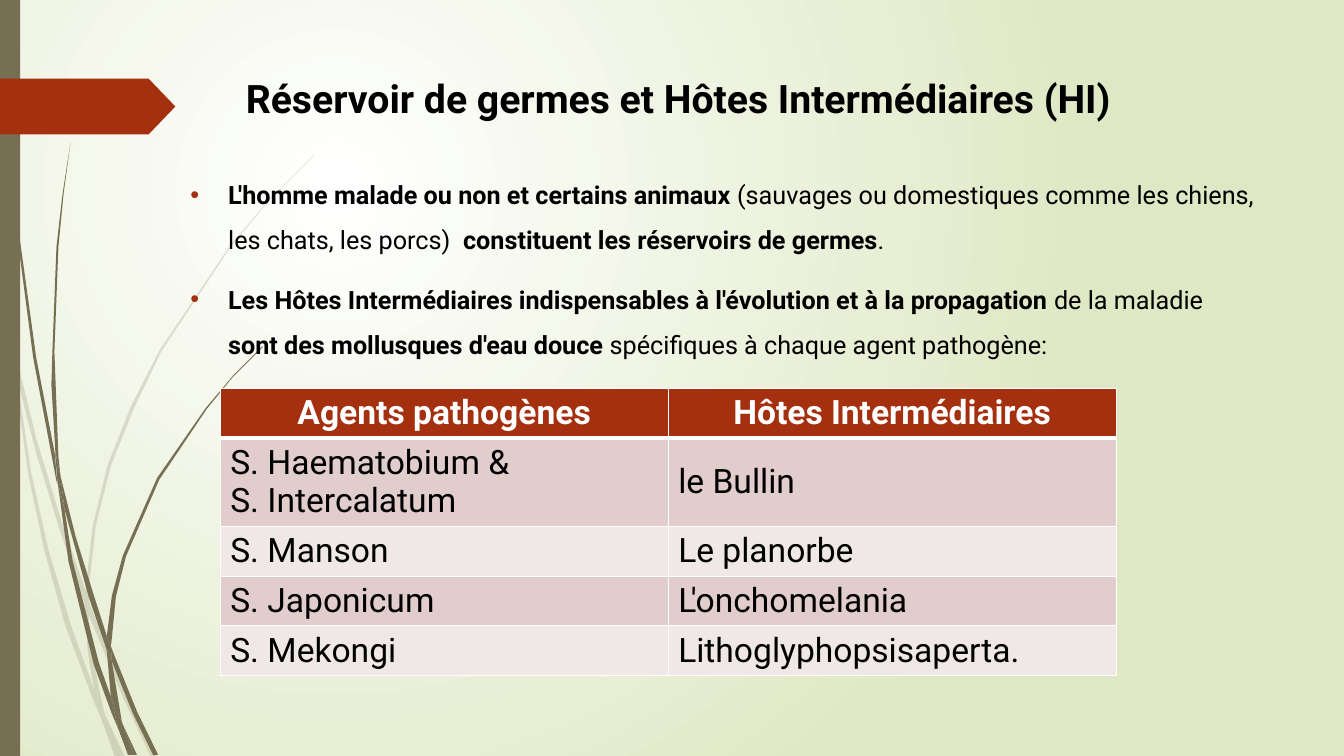
from lxml import etree
from pptx import Presentation
from pptx.dml.color import RGBColor
from pptx.enum.shapes import MSO_SHAPE
from pptx.enum.text import MSO_ANCHOR, PP_ALIGN
from pptx.oxml.ns import qn
from pptx.util import Cm, Pt

RECT, ARROW = MSO_SHAPE.RECTANGLE, MSO_SHAPE.PENTAGON
TOP, MIDDLE = MSO_ANCHOR.TOP, MSO_ANCHOR.MIDDLE
LEFT, CENTER = PP_ALIGN.LEFT, PP_ALIGN.CENTER
FONT = "Roboto"
INCH = 2.54
COLORS = {"white": "FFFFFF", "lime": "DFE8C4", "olive": "766F54", "rust": "A53010",
          "black": "000000", "rose": "E1CDCC", "pale": "F0E8E7"}

# Outlines of the blades of grass, in inches
FAINT = [
    [(.11, 3.5), (.09, 3.22), (0, 2.82), (0, 2.99), (.1, 3.44)],
    [(.58, 5.22), (.84, 5.99), (.85, 5.86), (.62, 5.2), (.36, 4.35), (.14, 3.45), (.17, 3.76),
     (.36, 4.5)],
    [(.92, 6.07), (.88, 5.96), (.88, 6.1), (1.23, 6.94), (1.5, 7.51), (1.55, 7.51), (1.27, 6.92)],
    [(1.19, 7.51), (1.24, 7.51), (1.05, 7.11)],
    [(.93, 6.83), (.7, 6.19), (.48, 5.45), (.31, 4.69), (.17, 3.76), (.11, 3.5), (.28, 4.7),
     (.44, 5.46), (.65, 6.21), (.92, 6.93), (1.01, 7.14), (.99, 7.07)],
    [(.84, 5.99), (.87, 6.46), (.93, 6.83), (.96, 6.92), (1.05, 7.11), (1.03, 7.06),
     (.91, 6.46), (.88, 6.1), (.88, 6.08)],
    [(.88, 5.84), (.95, 5.22), (1.1, 4.62), (1.33, 4.05), (1.6, 3.49), (2.29, 2.45), (2.68, 1.98),
     (3.12, 1.54), (3.12, 1.53), (2.68, 1.97), (2.28, 2.44), (1.58, 3.48), (1.3, 4.03),
     (1.07, 4.61), (.92, 5.22), (.85, 5.84), (.85, 5.86), (.88, 5.96)],
    [(1.01, 7.14), (1.14, 7.51), (1.19, 7.51)],
    [(.88, 6.08), (.88, 6.1), (.88, 5.96), (.85, 5.86), (.84, 5.99)],
    [(.96, 6.92), (.93, 6.83), (.99, 7.07), (1.01, 7.14), (1.19, 7.51), (1.05, 7.11)],
]
DARK = [
    [(.07, 1.1), (.17, 2.33), (.33, 3.55), (.56, 4.77), (.57, 4.81), (.55, 4.57), (.55, 4.53),
     (.36, 3.55), (.19, 2.32), (.08, 1.09), (.05, .48), (.04, 0), (.03, 0), (.04, .48)],
    [(.88, 5.92), (1.06, 6.45), (1.06, 6.31), (.93, 5.9), (.75, 5.32), (.6, 4.72), (.64, 5.05)],
    [(1.13, 6.49), (1.1, 6.41), (1.11, 6.56), (1.32, 7.08), (1.52, 7.49), (1.57, 7.49),
     (1.36, 7.06)],
    [(1.1, 6.91), (.98, 6.57), (.72, 5.56), (.64, 5.05), (.57, 4.77), (.68, 5.57), (.93, 6.59),
     (1.11, 7.08), (1.17, 7.22), (1.16, 7.17)],
    [(.6, 4.72), (.58, 4.53), (.54, 3.49), (.58, 2.45), (.63, 1.93), (.7, 1.41), (.62, 1.93),
     (.56, 2.45), (.52, 3.49), (.51, 3.82), (.55, 4.49)],
    [(1.33, 7.49), (1.36, 7.49), (1.22, 7.19)],
    [(.57, 4.77), (.64, 5.05), (.6, 4.72), (.55, 4.49), (.55, 4.53)],
    [(1.11, 6.33), (1.15, 5.92), (1.25, 5.52), (1.58, 4.76), (2.05, 4.06), (2.31, 3.74),
     (2.61, 3.44), (2.6, 3.44), (2.31, 3.73), (2.04, 4.05), (1.56, 4.74), (1.22, 5.51),
     (1.11, 5.91), (1.06, 6.31), (1.1, 6.41)],
    [(1.17, 7.22), (1.27, 7.49), (1.31, 7.49)],
    [(1.06, 6.45), (1.1, 6.91), (1.16, 7.06), (1.22, 7.19), (1.21, 7.16), (1.11, 6.56),
     (1.09, 6.51)],
    [(1.06, 6.45), (1.09, 6.51), (1.11, 6.56), (1.1, 6.41), (1.06, 6.31)],
    [(1.16, 7.06), (1.1, 6.91), (1.16, 7.17), (1.17, 7.22), (1.3, 7.49), (1.33, 7.49),
     (1.22, 7.19)],
]
POINTS = [
    [("L'homme malade ou non et certains animaux ", True),
     ("(sauvages ou domestiques comme les chiens, les chats, les porcs)  ", False),
     ("constituent les réservoirs de germes", True), (".", False)],
    [("Les Hôtes Intermédiaires indispensables à l'évolution et à la propagation ", True),
     ("de la maladie ", False), ("sont des mollusques d'eau douce ", True),
     ("spécifiques à chaque agent pathogène:", False)],
]
ROWS = [
    ("Agents pathogènes", "Hôtes Intermédiaires"),
    ("S. Haematobium &\nS. Intercalatum", "le Bullin"),
    ("S. Manson", "Le planorbe"),
    ("S. Japonicum", "L'onchomelania"),
    ("S. Mekongi", "Lithoglyphopsisaperta."),
]


def rgb(name):
    return RGBColor.from_string(COLORS[name])


def node(parent, tag, **attrs):
    return etree.SubElement(parent, qn(tag), attrs)


def add_run(para, text, size, bold=False, color="black"):
    run = para.add_run()
    run.text = text
    font = run.font
    font.name, font.size, font.bold = FONT, Pt(size), bold
    font.color.rgb = rgb(color)


def paint(shape, color):
    shape.shadow.inherit = False
    shape.fill.solid()
    shape.fill.fore_color.rgb = rgb(color)
    shape.line.fill.background()


def set_back(slide):
    fill = slide.background.fill
    fill.gradient()
    for stop, name in zip(fill.gradient_stops, ("white", "lime")):
        stop.color.rgb = rgb(name)
    grad = next(slide.element.iter(qn("a:gradFill")))
    grad.remove(grad.find(qn("a:lin")))
    way = node(grad, "a:path", path="circle")
    node(way, "a:fillToRect", l="50000", t="50000", r="100000", b="100000")


def add_blade(slide, edge, alpha=100):
    dots = [(Cm(x * INCH), Cm(y * INCH)) for x, y in edge]
    form = slide.shapes.build_freeform(*dots[0])
    form.add_line_segments(dots[1:], close=True)
    blade = form.convert_to_shape()
    paint(blade, "olive")
    if alpha < 100:
        node(next(blade.element.spPr.iter(qn("a:srgbClr"))), "a:alpha", val=str(alpha * 1000))


def add_block(slide, kind, box, color):
    shape = slide.shapes.add_shape(kind, *map(Cm, box))
    paint(shape, color)
    return shape


def set_title(slide, text):
    title = slide.shapes.title
    title.left, title.top, title.width, title.height = map(Cm, (5.94, 1.75, 26, 2.25))
    frame = title.text_frame
    frame.vertical_anchor, frame.word_wrap = TOP, True
    para = frame.paragraphs[0]
    para.alignment = LEFT
    add_run(para, text, 28, True)


def add_list(slide, items):
    frame = slide.shapes.add_textbox(Cm(4.55), Cm(4.01), Cm(27.41), Cm(5.5)).text_frame
    frame.word_wrap = True
    for i, runs in enumerate(items):
        para = frame.add_paragraph() if i else frame.paragraphs[0]
        props = para._p.get_or_add_pPr()
        props.set("marL", str(Cm(.95)))
        props.set("indent", str(-Cm(.95)))
        node(node(props, "a:buClr"), "a:srgbClr", val=COLORS["rust"])
        node(props, "a:buFont", typeface="Arial")
        node(props, "a:buChar", char="•")
        para.line_spacing = 1.5
        if i:
            para.space_before = Pt(10)
        for text, bold in runs:
            add_run(para, text, 18, bold)


def set_edges(cell, row):
    props = cell._tc.get_or_add_tcPr()
    for i, side in enumerate("LRTB"):
        thick = (row, side) in ((0, "B"), (1, "T"))
        line = etree.Element(qn("a:ln" + side), w=str(Pt(3 if thick else 1)))
        node(node(line, "a:solidFill"), "a:srgbClr", val=COLORS["white"])
        props.insert(i, line)


def add_grid(slide, rows):
    high = [1.25, 2.24, 1.25, 1.25, 1.25]
    table = slide.shapes.add_table(len(rows), 2, Cm(5.55), Cm(9.78),
                                   Cm(22.58), Cm(sum(high))).table
    for col in table.columns:
        col.width = Cm(11.29)
    for r, texts in enumerate(rows):
        table.rows[r].height = Cm(high[r])
        head = r == 0
        for c, text in enumerate(texts):
            cell = table.cell(r, c)
            cell.vertical_anchor = MIDDLE
            cell.fill.solid()
            cell.fill.fore_color.rgb = rgb("rust" if head else "rose" if r % 2 else "pale")
            set_edges(cell, r)
            for i, line in enumerate(text.split("\n")):
                para = cell.text_frame.add_paragraph() if i else cell.text_frame.paragraphs[0]
                para.alignment = CENTER if head else LEFT
                para.line_spacing = .97
                add_run(para, line, 24, head, "white" if head else "black")


def main():
    deck = Presentation()
    deck.slide_width, deck.slide_height = Cm(33.87), Cm(19.05)
    slide = deck.slides.add_slide(deck.slide_layouts[5])
    # Backdrop
    set_back(slide)
    for edge in FAINT:
        add_blade(slide, edge, 20)
    for edge in DARK:
        add_blade(slide, edge)
    add_block(slide, RECT, (0, 0, .51, 19.05), "olive")
    arrow = add_block(slide, ARROW, (0, 1.98, 4.42, 1.41), "rust")
    arrow.adjustments[0] = .48
    # Content
    set_title(slide, "Réservoir de germes et Hôtes Intermédiaires (HI)")
    add_list(slide, POINTS)
    add_grid(slide, ROWS)
    deck.save("out.pptx")


if __name__ == "__main__":
    main()
